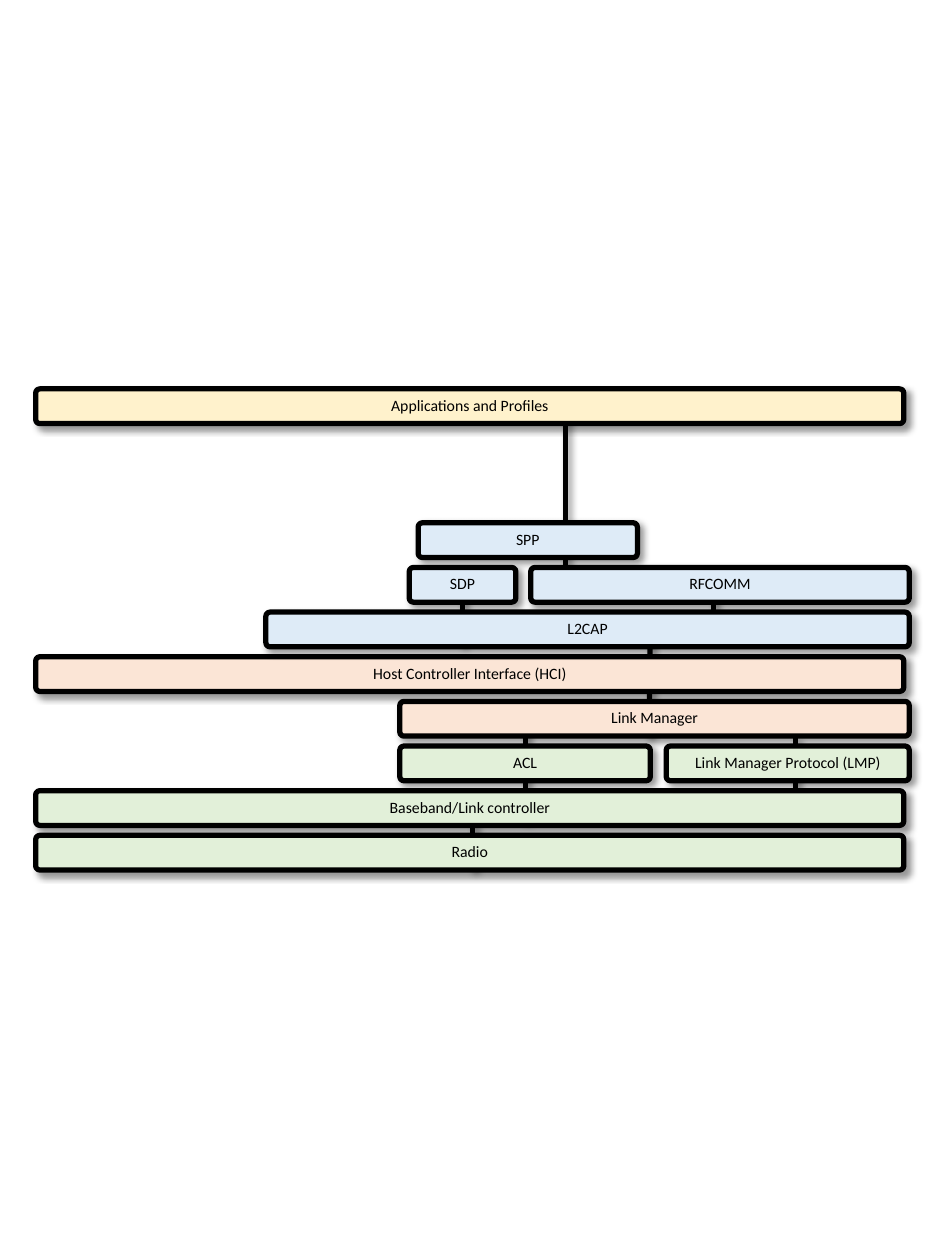
from lxml import etree
from pptx import Presentation
from pptx.dml.color import RGBColor
from pptx.enum import shapes, text
from pptx.oxml import ns
from pptx.util import Cm, Pt


def tint(code):
    return RGBColor.from_string(code)


def style(item):
    item.line.color.rgb = tint("000000")
    item.line.width = Pt(3)
    props = item.element.spPr
    list_ = etree.SubElement(props, ns.qn("a:effectLst"))
    cast = etree.SubElement(list_, ns.qn("a:outerShdw"), blurRad=str(Pt(4)),
                            dist=str(Pt(3)), dir="2700000", algn="tl", rotWithShape="0")
    ink = etree.SubElement(cast, ns.qn("a:srgbClr"), val="000000")
    etree.SubElement(ink, ns.qn("a:alpha"), val="40000")


deck = Presentation()
deck.slide_width, deck.slide_height = Cm(19.05), Cm(25.4)
slide = deck.slides.add_slide(deck.slide_layouts[6])
stack = slide.shapes.add_group_shape().shapes

links = [
    (14.38, 11.58, 14.38, 12.85),
    (9.32, 11.73, 9.32, 13),
    (10.59, 14.73, 10.59, 16.56),
    (16.03, 14.86, 16.03, 16.31),
    (13.11, 12.75, 13.08, 14.86),
    (9.53, 16.56, 9.53, 17.55),
    (11.4, 8.38, 11.4, 11.91),
]
for ends in links:
    link = stack.add_connector(shapes.MSO_CONNECTOR.STRAIGHT, *map(Cm, ends))
    style(link)

top, pitch, high = 7.84, 0.9, 0.7
left, right, edge = 0.72, 18.22, 18.33
yellow, blue, peach, green = "FFF2CC", "DEEBF7", "FBE5D6", "E2F0D9"
layers = [
    ("ACL", 7, 8.06, 13.11, green),
    ("Baseband/Link controller", 8, left, right, green),
    ("Radio", 9 + 1 - 1, left, right, green),
    ("Host Controller Interface (HCI)", 5, left, right, peach),
    ("Link Manager", 6, 8.06, edge, peach),
    ("Link Manager Protocol (LMP)", 7, 13.43, edge, green),
    ("Applications and Profiles", -1, left, right, yellow),
    ("SDP", 3, 8.25, 10.4, blue),
    ("L2CAP", 4, 5.36, edge, blue),
    ("RFCOMM", 3, 10.7, edge, blue),
    ("SPP", 2, 8.43, 12.85, blue),
]
for name, row, start, end, fill in layers:
    box = stack.add_shape(shapes.MSO_SHAPE.ROUNDED_RECTANGLE, Cm(start),
                          Cm(top + (row + 1) * pitch), Cm(end - start), Cm(high))
    box.adjustments[0] = 0.12
    box.fill.solid()
    box.fill.fore_color.rgb = tint(fill)
    style(box)
    frame = box.text_frame
    frame.word_wrap = True
    frame.vertical_anchor = text.MSO_ANCHOR.MIDDLE
    frame.margin_left = frame.margin_right = Cm(0.1)
    frame.margin_top = frame.margin_bottom = Cm(0.1)
    para = frame.paragraphs[0]
    para.text = name
    para.alignment = text.PP_ALIGN.CENTER
    para.line_spacing = 0.9
    para.font.name = "Calibri"
    para.font.size = Pt(9)
    para.font.color.rgb = tint("000000")

deck.save("out.pptx")
